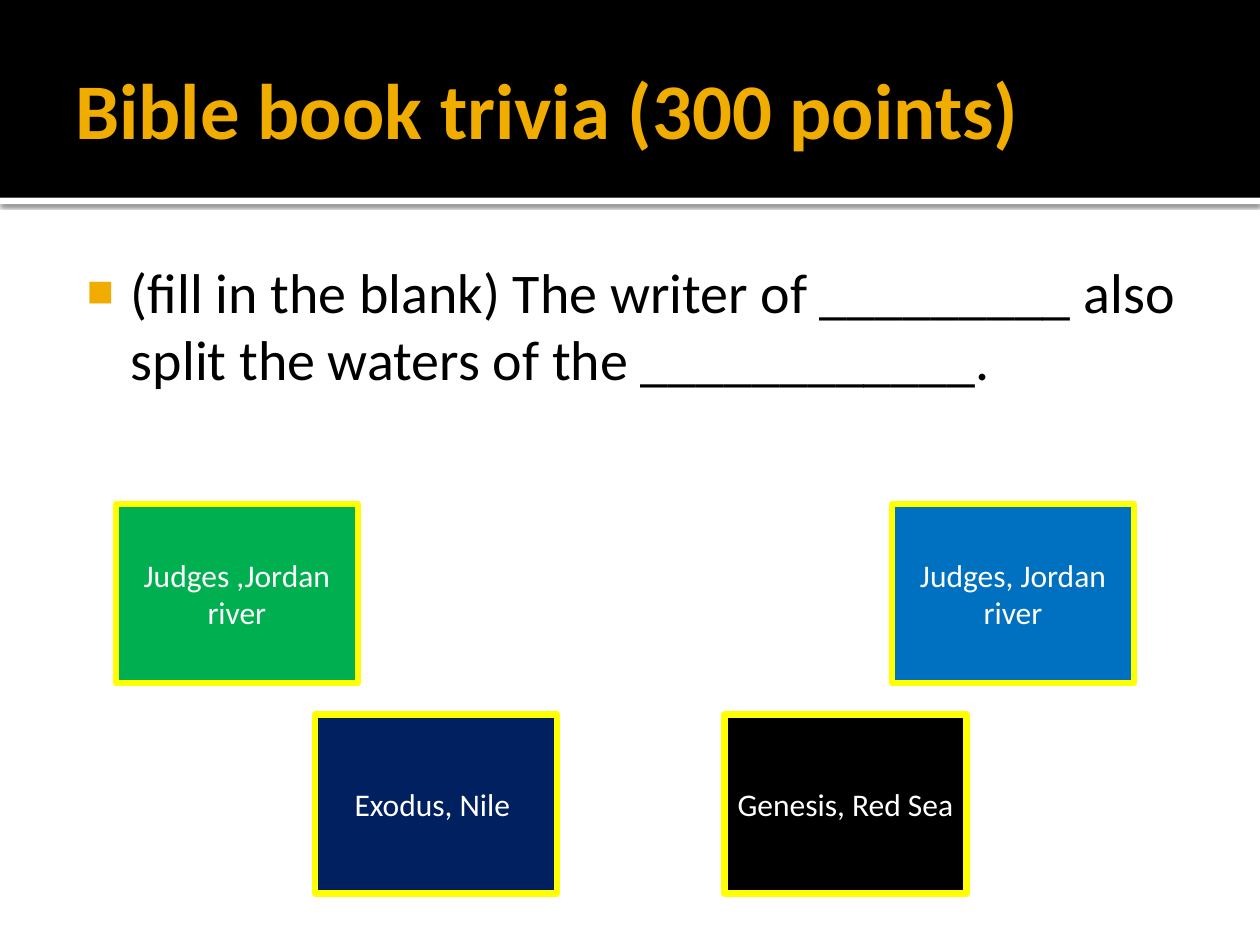
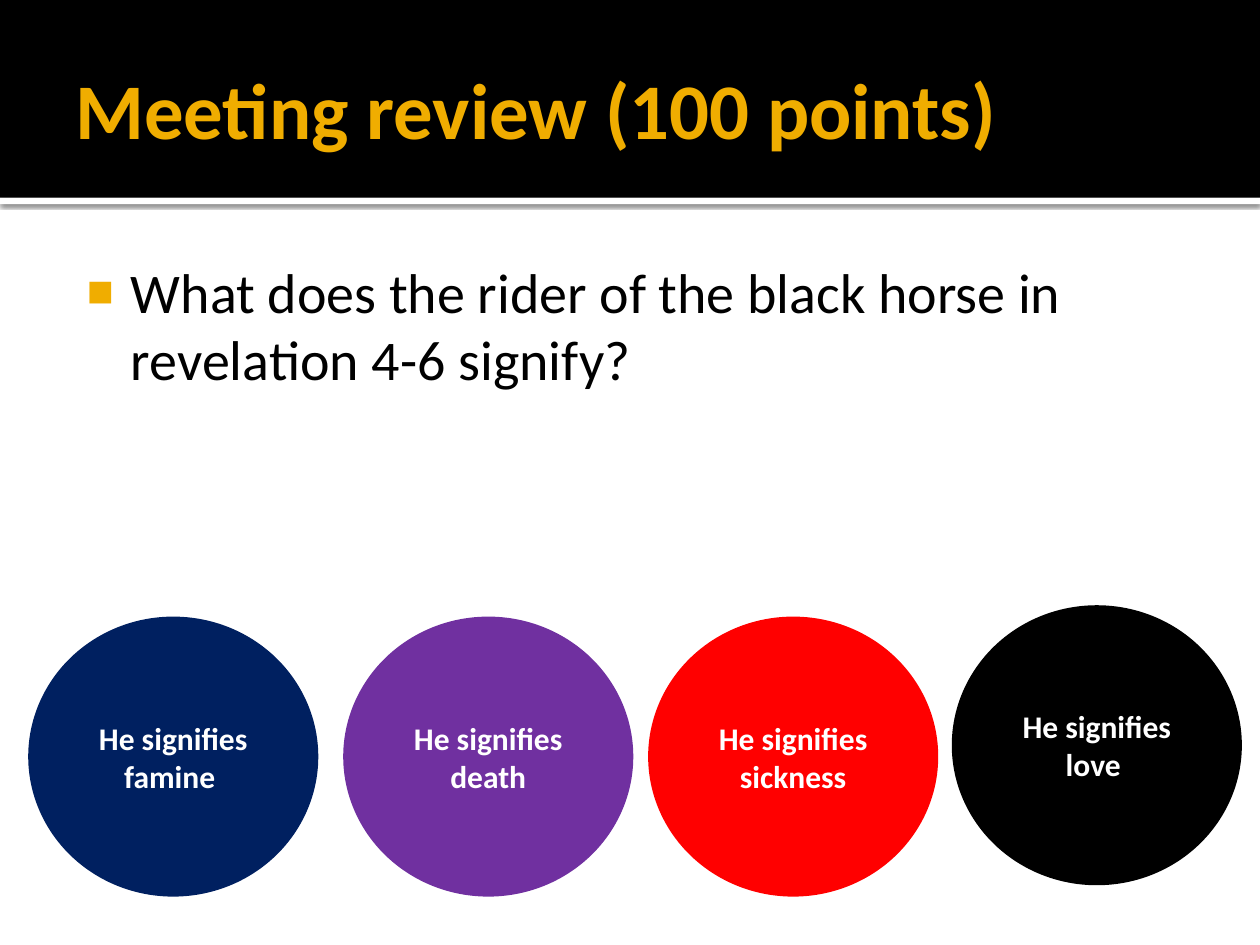
from lxml import etree
from pptx import Presentation
from pptx import util as u
from pptx.dml.color import RGBColor
from pptx.enum import shapes, text
from pptx.oxml.ns import qn

PX = 9144
FONT = "Calibri"
C = {
    "white": "FFFFFF", "black": "000000", "gold": "F0AD00", "yellow": "FFFF00",
    "green": "00B050", "navy": "002060", "blue": "0070C0", "red": "FF0000",
    "purple": "7030A0",
}
TITLE = {"size": u.Pt(45), "bold": True}
QUESTION = {"size": u.Pt(32), "bold": False}
ANSWER = {"size": u.Pt(18), "bold": False}
ANSWER_BOLD = {"size": u.Pt(18), "bold": True}

RECT, OVAL = shapes.MSO_SHAPE.RECTANGLE, shapes.MSO_SHAPE.OVAL
CARD_W, CARD_H = 192, 142
OVAL_W, OVAL_H = 225, 217


def px(*lengths):
    return [u.Emu(n * PX) for n in lengths]


def rgb(name):
    return RGBColor.from_string(C[name])


def write(p, words, color, fmt):
    r = p.add_run()
    r.text = words
    for key, value in {"name": FONT, **fmt}.items():
        setattr(r.font, key, value)
    r.font.color.rgb = rgb(color)


def add_block(s, kind, box, fill, line=None):
    sp = s.shapes.add_shape(kind, *px(*box))
    sp.fill.solid()
    sp.fill.fore_color.rgb = rgb(fill)
    if line:
        sp.line.color.rgb = rgb(line)
        sp.line.width = u.Pt(3.78)
    else:
        sp.line.fill.background()
    sp.shadow.inherit = False
    return sp


def add_text(s, box, insets, anchor, words, color, fmt):
    tf = s.shapes.add_textbox(*px(*box)).text_frame
    tf.word_wrap = True
    tf.vertical_anchor = anchor
    for side, inset in zip(("left", "top", "right", "bottom"), px(*insets)):
        setattr(tf, "margin_" + side, inset)
    p = tf.paragraphs[0]
    write(p, words, color, fmt)
    return p


def add_shadow(sp):
    effects = sp._element.spPr.find(qn("a:effectLst"))
    shadow = etree.SubElement(effects, qn("a:outerShdw"), blurRad="31750",
                              dist="10160", dir="5400000", rotWithShape="0")
    color = etree.SubElement(shadow, qn("a:srgbClr"), val=C["black"])
    etree.SubElement(color, qn("a:alpha"), val="60000")


def add_bullet(p, color):
    pPr = p._p.get_or_add_pPr()
    pPr.set("marL", str(48 * PX))
    pPr.set("indent", str(-35 * PX))
    bu_color = etree.SubElement(pPr, qn("a:buClr"))
    etree.SubElement(bu_color, qn("a:srgbClr"), val=C[color])
    etree.SubElement(pPr, qn("a:buSzPct"), val="80000")
    etree.SubElement(pPr, qn("a:buFont"), typeface="Arial")
    etree.SubElement(pPr, qn("a:buChar"), char="■")


def add_answer(s, kind, box, words, fill, line, fmt):
    tf = add_block(s, kind, box, fill, line).text_frame
    tf.word_wrap = True
    tf.vertical_anchor = text.MSO_ANCHOR.MIDDLE
    p = tf.paragraphs[0]
    p.alignment = text.PP_ALIGN.CENTER
    write(p, words, "white", fmt)


def add_question_slide(prs, title, question, body_h):
    s = prs.slides.add_slide(prs.slide_layouts[6])
    add_shadow(add_block(s, RECT, (0, 157, 1000, 5), "white"))
    add_block(s, RECT, (0, 0, 1000, 157), "black")
    add_text(s, (50, 17, 900, 137), (10, 5, 5, 5), text.MSO_ANCHOR.MIDDLE,
             title, "gold", TITLE)
    p = add_text(s, (50, 194, 900, body_h), (6, 10, 10, 5), text.MSO_ANCHOR.TOP,
                 question, "black", QUESTION)
    add_bullet(p, "gold")
    return s


def main():
    prs = Presentation()
    prs.slide_width, prs.slide_height = px(1000, 750)

    s = add_question_slide(
        prs, "Bible book trivia (300 points)",
        "(fill in the blank) The writer of _________ also split the waters "
        "of the ____________.", 181)
    for x, y, words, fill in (
        (92, 400, "Judges ,Jordan river", "green"),
        (250, 567, "Exodus, Nile ", "navy"),
        (575, 567, "Genesis, Red Sea ", "black"),
        (708, 400, "Judges, Jordan river", "blue"),
    ):
        add_answer(s, RECT, (x, y, CARD_W, CARD_H), words, fill, "yellow", ANSWER)

    s = add_question_slide(
        prs, "Meeting review (100 points)",
        "What does the rider of the black horse in revelation 4-6 signify?", 264)
    for x, y, words, fill in (
        (25, 492, "He signifies famine ", "navy"),
        (275, 492, "He signifies death", "purple"),
        (517, 492, "He signifies sickness", "red"),
        (758, 483, "He signifies love ", "black"),
    ):
        add_answer(s, OVAL, (x, y, OVAL_W, OVAL_H), words, fill, fill, ANSWER_BOLD)

    prs.save("out.pptx")


if __name__ == "__main__":
    main()
